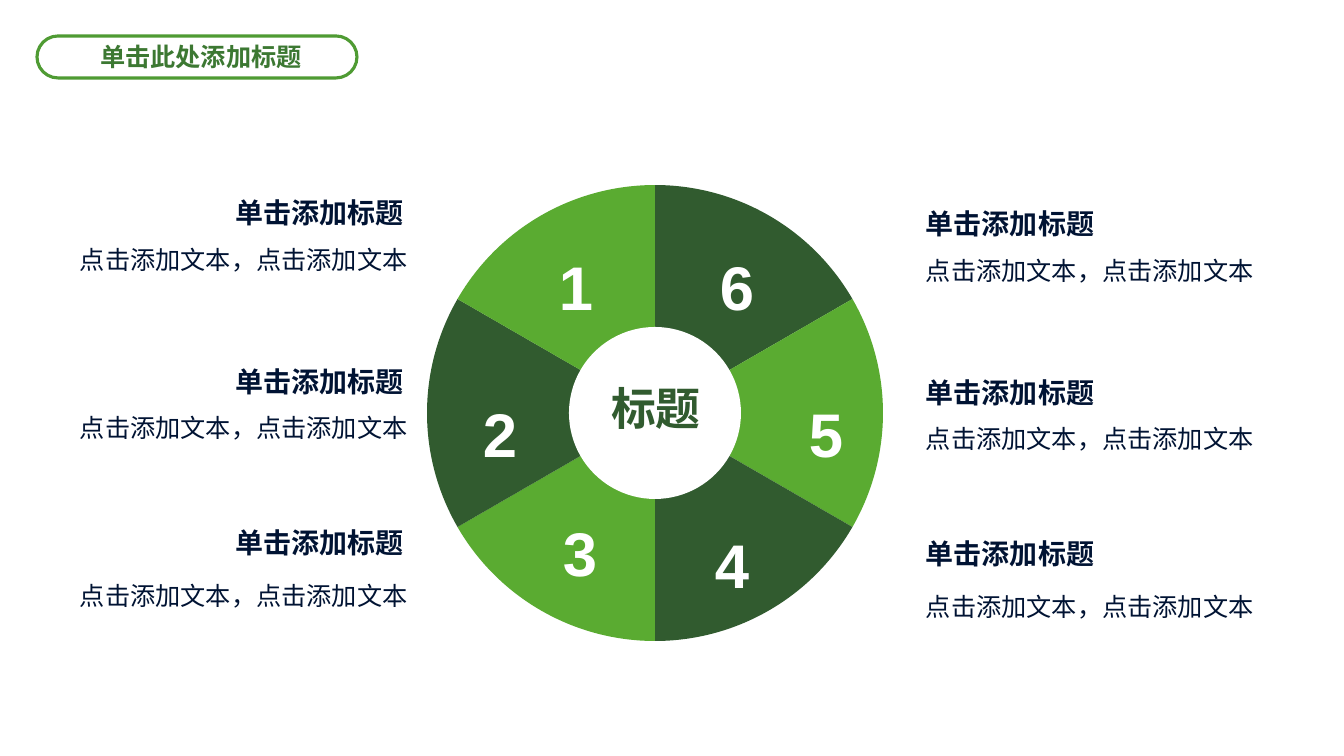
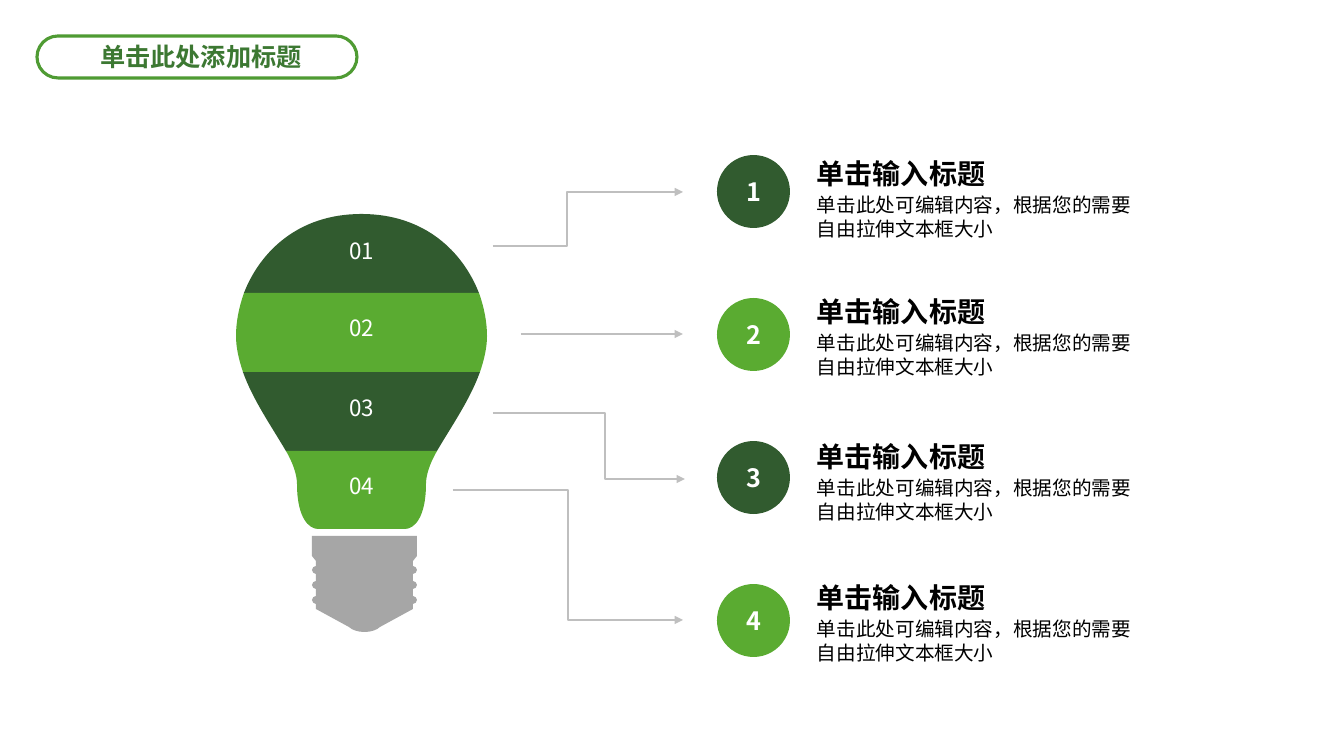
from math import cos, radians, sin, tan

from lxml.etree import SubElement
from pptx import Presentation
from pptx.dml.color import RGBColor
from pptx.enum.shapes import MSO_CONNECTOR, MSO_SHAPE
from pptx.enum.text import MSO_ANCHOR, MSO_AUTO_SIZE, PP_ALIGN
from pptx.oxml.ns import qn
from pptx.util import Pt

PX = 914400 / 100.8
DARK, LIGHT, WHITE, BLACK = "315B2F", "5AAB31", "FFFFFF", "000000"
NAVY, RIM, HEAD, GREY, WIRE = "001333", "4F9B33", "3C7832", "A6A6A6", "BFBFBF"
LATIN, HAN = "Arial", "Noto Sans CJK SC"
LEFT, MID, RIGHT, FULL = (PP_ALIGN.LEFT, PP_ALIGN.CENTER, PP_ALIGN.RIGHT,
                          PP_ALIGN.JUSTIFY)

TITLE = "单击此处添加标题"

# Wheel slide: hub, numbers (clockwise from the top), captions
HUB = "标题"
WHEEL = (655, 413, 228, 86)
NUMS = [("6", 718, 249), ("5", 807, 396), ("4", 713, 527),
        ("3", 561, 515), ("2", 481, 396), ("1", 557, 249)]
ITEM = ("单击添加标题", "点击添加文本，点击添加文本")
ROWS = [(191, 224), (360, 392), (521, 560)]
SIDES = [(149, 70, 0, RIGHT), (916, 916, 11, LEFT)]

# Bulb slide: right half of each outline; 2 numbers a corner, 6 a curve
AXIS, SOCKET = 361.5, 364.5
BANDS = [
    ("01", 237, [(AXIS, 214), (425, 214, 463, 252, 479, 293)]),
    ("02", 314, [(479, 293), (484, 307, 487, 322, 487, 336),
                 (487, 348, 484, 360, 480, 372)]),
    ("03", 394, [(480, 372), (470, 400, 451, 427, 437, 451)]),
    ("04", 472, [(437, 451), (430, 463, 426, 475, 426, 484),
                 (426, 518, 414, 529, 405, 529)]),
]
THREADS = (566, 581, 596)
POINT = ("单击输入标题", "单击此处可编辑内容，根据您的需要自由拉伸文本框大小")
TOPS = [152, 290, 435, 576]
# Arrow start, bend (None if straight), end
WIRES = [((493, 246), 567, (683, 192)), ((521, 334), None, (683, 334)),
         ((493, 413), 605, (685, 479)), ((453, 490), 568, (683, 620))]


def px(*nums):
    return [round(n * PX) for n in nums]


def rgb(code):
    return RGBColor.from_string(code)


def write(shape, text, size, color, bold=False, font=LATIN, align=LEFT,
          wrap=True, pad=None, anchor=MSO_ANCHOR.TOP, lead=None):
    frame = shape.text_frame
    frame.text = text
    frame.word_wrap = wrap
    frame.vertical_anchor = anchor
    if pad is not None:
        frame.margin_left = frame.margin_right = pad
        frame.margin_top = frame.margin_bottom = pad
    para = frame.paragraphs[0]
    para.alignment = align
    if lead:
        para.line_spacing = lead
    run = para.runs[0]
    run.font.size, run.font.bold, run.font.name = Pt(size), bold, font
    run.font.color.rgb = rgb(color)
    props = run._r.get_or_add_rPr()
    SubElement(props, qn("a:ea")).set("typeface", HAN)


def label(slide, box, text, size, color, **style):
    shape = slide.shapes.add_textbox(*px(*box))
    write(shape, text, size, color, **style)
    shape.text_frame.auto_size = MSO_AUTO_SIZE.SHAPE_TO_FIT_TEXT


def paint(shape, fill, line=None):
    shape.shadow.inherit = False
    shape.fill.solid()
    shape.fill.fore_color.rgb = rgb(fill)
    if line:
        shape.line.color.rgb = rgb(line)
        shape.line.width = Pt(2.25)
    else:
        shape.line.fill.background()
    return shape


def block(slide, kind, box, fill, line=None):
    return paint(slide.shapes.add_shape(kind, *px(*box)), fill, line)


def start(deck):
    """Add a slide with its title in a pill."""
    slide = deck.slides.add_slide(deck.slide_layouts[5])
    title = slide.shapes.title
    pill = block(slide, MSO_SHAPE.ROUNDED_RECTANGLE, (37, 36, 320, 42), WHITE, RIM)
    pill.adjustments[0] = 0.5
    title.element.addprevious(pill.element)
    title.left, title.top, title.width, title.height = px(90, 36, 224, 40)
    write(title, TITLE, 18, HEAD, bold=True, font=HAN, wrap=False)
    return slide


def outline(slide, steps, fill):
    """Draw a closed outline, turning each 6-number step into a curve."""
    pen = slide.shapes.build_freeform(*px(*steps[0]))
    pen.add_line_segments([px(*s[-2:]) for s in steps[1:]], close=True)
    shape = paint(pen.convert_to_shape(), fill)
    lines = list(shape.element.iter(qn("a:lnTo")))
    for line, step in zip(lines, steps[1:]):
        if len(step) == 2:
            continue
        line.tag = qn("a:cubicBezTo")
        line.remove(line[0])
        for k in (0, 2, 4):
            x, y = px(*step[k:k + 2])
            dot = SubElement(line, qn("a:pt"))
            dot.set("x", str(x - shape.left))
            dot.set("y", str(y - shape.top))


def mirror(slide, half, axis, fill):
    """Complete a right half with its reflection."""
    def flip(x, y):
        return 2 * axis - x, y

    steps = list(half)
    if half[-1][-2] != axis:
        steps.append(flip(*half[-1][-2:]))
    for goal, step in zip(half[-2::-1], half[:0:-1]):
        turn = flip(*goal[-2:])
        if len(step) == 6:
            turn = flip(*step[2:4]) + flip(*step[:2]) + turn
        steps.append(turn)
    outline(slide, steps, fill)


def sector(slide, first, fill):
    """Draw a 60 degree slice as two arcs of 30 degrees."""
    x, y, rad, _ = WHEEL
    pull = 4 / 3 * tan(radians(30 / 4))

    def spot(deg, bend=0):
        c, s = cos(radians(deg)), sin(radians(deg))
        return x + rad * (c - bend * s), y + rad * (s + bend * c)

    arcs = [spot(a, pull) + spot(a + 30, -pull) + spot(a + 30)
            for a in (first, first + 30)]
    outline(slide, [(x, y), spot(first), *arcs], fill)


def arrow(slide, head, bend, tail):
    kind = MSO_CONNECTOR.STRAIGHT if bend is None else MSO_CONNECTOR.ELBOW
    wire = slide.shapes.add_connector(kind, *px(*head, *tail))
    wire.line.color.rgb = rgb(WIRE)
    wire.line.width = Pt(1)
    props = wire.element.spPr
    SubElement(props.find(qn("a:ln")), qn("a:tailEnd")).set("type", "triangle")
    SubElement(props, qn("a:effectLst"))
    if bend is not None:
        ratio = (bend - head[0]) / (tail[0] - head[0])
        guide = SubElement(props.find(".//" + qn("a:avLst")), qn("a:gd"))
        guide.set("name", "adj1")
        guide.set("fmla", f"val {round(ratio * 100000)}")


def wheel(slide):
    # Sectors, clockwise from the top, with their numbers
    for i, (num, left, top) in enumerate(NUMS):
        sector(slide, 270 + 60 * i, LIGHT if i % 2 else DARK)
        label(slide, (left, top, 38, 75), num, 44, WHITE, bold=True,
              align=MID, wrap=False, pad=0)
    # Hub
    x, y, _, rad = WHEEL
    block(slide, MSO_SHAPE.OVAL, (x - rad, y - rad, 2 * rad, 2 * rad), WHITE)
    label(slide, (581, 381, 150, 54), HUB, 32, DARK, bold=True, align=MID, pad=0)
    # Captions on both sides
    for left, under, drop, align in SIDES:
        for top, low in ROWS:
            label(slide, (left, top + drop, 265, 44), ITEM[0], 20, NAVY,
                  bold=True, align=align)
            label(slide, (under, low + drop, 351, 56), ITEM[1], 18, NAVY,
                  align=FULL, wrap=False, lead=1.5)


def bulb(slide):
    # Socket with its threads
    half = [(417, 536), (417, 556), (413, 561)]
    for y in THREADS:
        half += [(413, y), (415, y, 417, y + 2, 417, y + 4),
                 (417, y + 6, 415, y + 8, 413, y + 8)]
    half += [(413, 609), (380, 627), (377, 630, 371, 632, SOCKET, 632)]
    mirror(slide, half, SOCKET, GREY)
    # Glass bands
    for i, (num, top, half) in enumerate(BANDS):
        mirror(slide, half, AXIS, LIGHT if i % 2 else DARK)
        label(slide, (346, top, 31, 32), num, 16, WHITE, font=HAN,
              align=MID, wrap=False, pad=0)
    # Points with their arrows
    for i, (top, wire) in enumerate(zip(TOPS, WIRES)):
        dot = block(slide, MSO_SHAPE.OVAL, (717, 155 + 143 * i, 73, 73),
                    LIGHT if i % 2 else DARK)
        write(dot, str(i + 1), 18, WHITE, bold=True, font=HAN, align=MID,
              anchor=MSO_ANCHOR.MIDDLE)
        arrow(slide, *wire)
        label(slide, (807, top + 36, 345, 57), POINT[1], 14, BLACK)
        label(slide, (807, top, 412, 44), POINT[0], 20, BLACK, bold=True, font=HAN)


def main():
    deck = Presentation()
    deck.slide_width, deck.slide_height = px(1344, 756)
    for draw in (wheel, bulb):
        draw(start(deck))
    deck.save("out.pptx")


if __name__ == "__main__":
    main()
